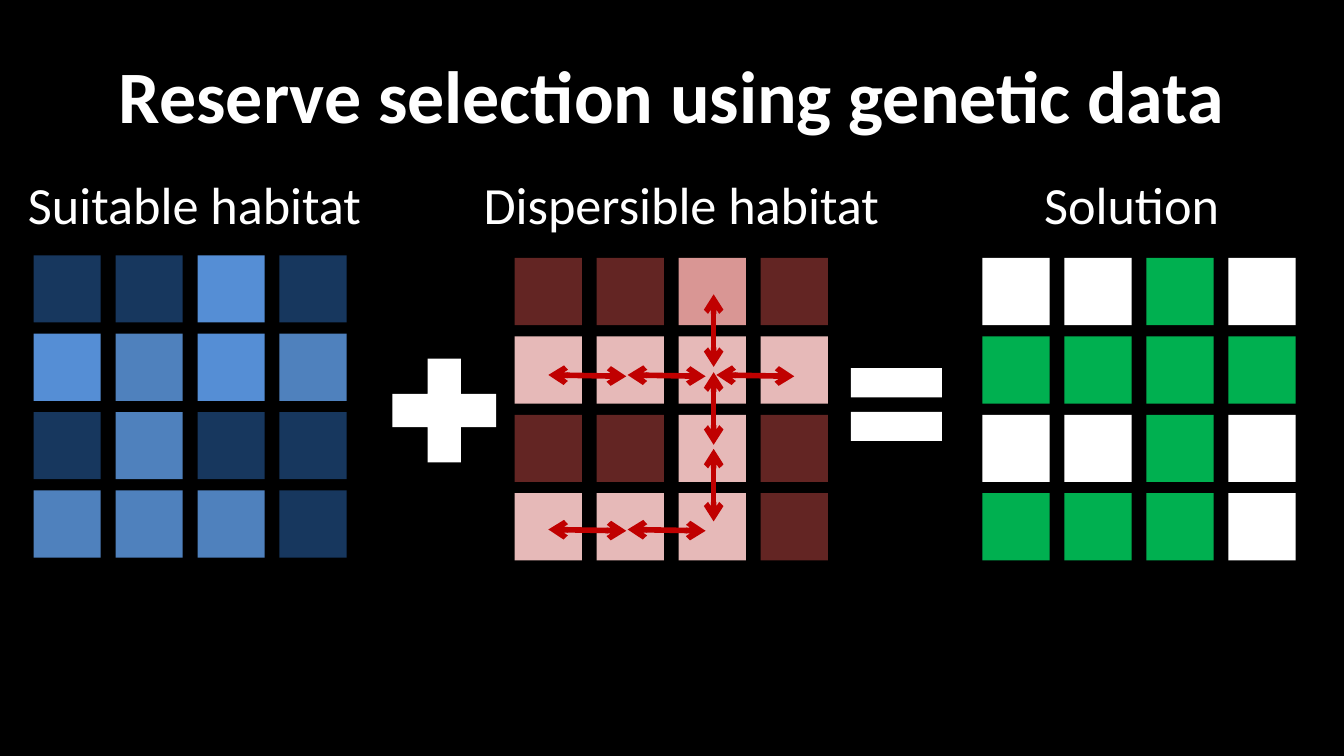
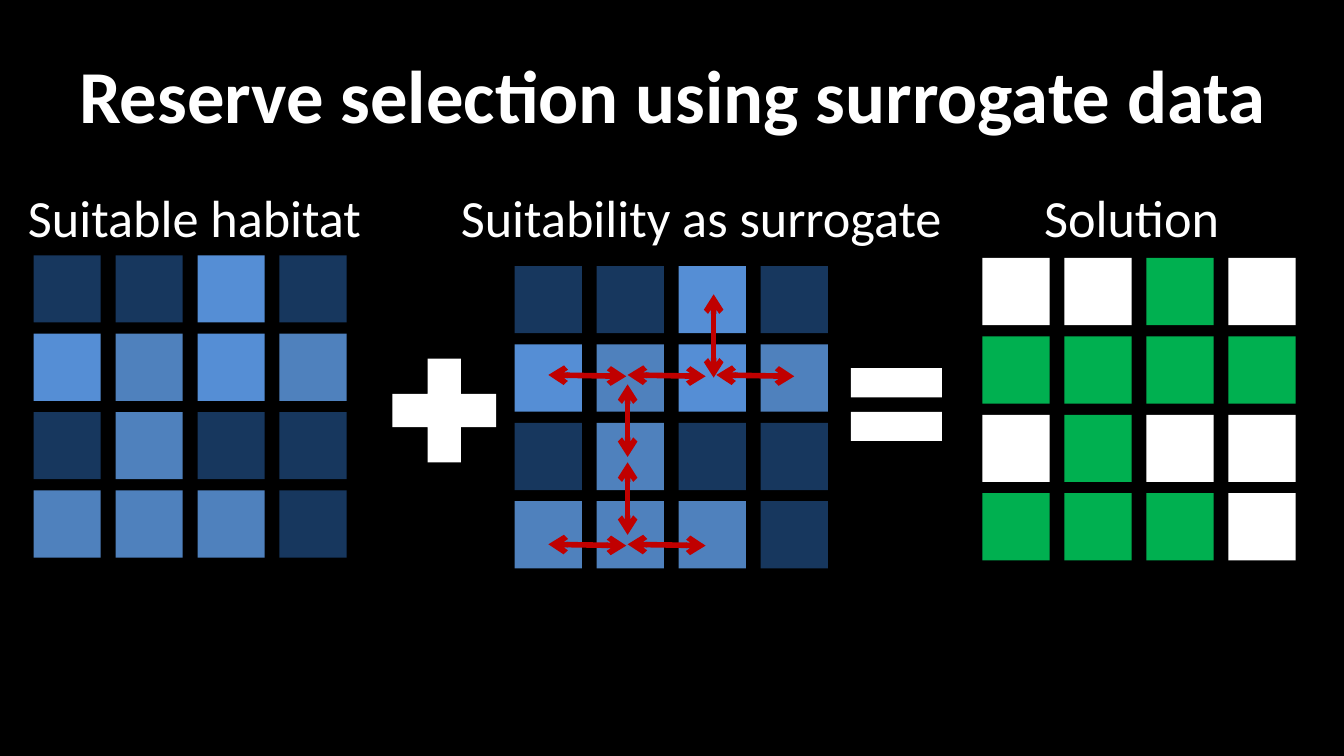
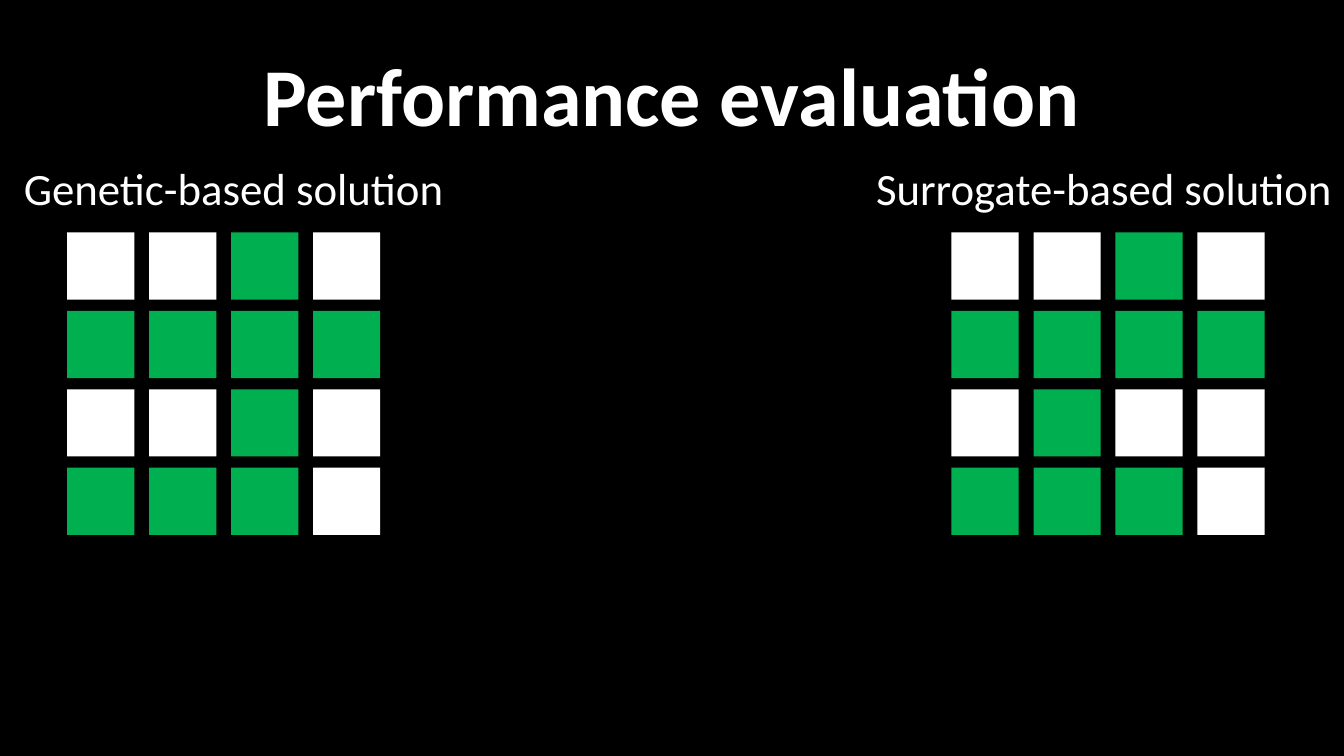
import pptx
import pptx.util
import pptx.dml.color
import pptx.enum.shapes
import pptx.enum.text
import pptx.oxml
import pptx.oxml.ns

INK = {
    "back": "000000", "text": "FFFFFF", "arrow": "C00000",
    "n": "17375E", "b": "4F81BD", "s": "558ED5",    # habitat: poor, fair, good
    "m": "632523", "p": "E6B9B8", "r": "D99694",    # dispersal: closed, open, source
    "w": "FFFFFF", "g": "00B050",                   # solution: left out, chosen
}

HABITAT = "nnsn sbsb nbnn bbbn".split()
REACH = "mmrm pppp mmpm pppm".split()
GENETIC = "wwgw gggg wwgw gggw".split()
PROXY = "wwgw gggg wgww gggw".split()

SIDE = 0.5
SPAN = (2.33, 2.25)     # width and height of a whole grid
HOP = (0.58, 0.01)      # run and drop of a sideways arrow
RISE = 0.54             # length of an upright arrow
ROW = [(4.08, 2.79), (4.67, 2.79), (5.33, 2.79)]

# title: text, size, left, width
# heads: text, left, width; head: top, height, size
# grids: cells, left, top, grouped
# across: left end of arrow; up: foot of arrow and length
SLIDES = [
    {
        "title": ("Reserve selection using genetic data", 39.6, 0.5, 9),
        "heads": [("Suitable habitat", 0.11, 2.71),
                  ("Dispersible habitat", 3.5, 3.18),
                  ("Solution", 7.67, 1.52)],
        "head": (1.23, 0.57, 28),
        "grids": [(HABITAT, 0.25, 1.9, False),
                  (REACH, 3.83, 1.92, True),
                  (GENETIC, 7.31, 1.92, False)],
        "signs": True,
        "across": [(4.08, 3.94), (4.67, 3.94)] + ROW,
        "up": [(5.31, 3.88, RISE), (5.31, 3.31, RISE), (5.31, 2.73, RISE)],
    },
    {
        "title": ("Reserve selection using surrogate data", 40, 0.31, 9.39),
        "heads": [("Suitability as surrogate", 3.33, 3.82),
                  ("Solution", 7.67, 1.52),
                  ("Suitable habitat", 0.11, 2.71)],
        "head": (1.33, 0.57, 28),
        "grids": [(HABITAT, 0.25, 1.9, False),
                  (PROXY, 7.31, 1.92, False),
                  (HABITAT, 3.83, 1.98, False)],
        "signs": True,
        "across": [(4.08, 4.05), (4.67, 4.05)] + ROW,
        "up": [(4.67, 3.98, RISE), (4.67, 3.4, RISE), (5.31, 2.81, 0.62)],
    },
    {
        "title": ("Performance evaluation", 44, 0.5, 9),
        "heads": [("Genetic-based solution", 0.08, 3.36),
                  ("Surrogate-based solution", 6.42, 3.63)],
        "head": (1.15, 0.5, 24),
        "grids": [(GENETIC, 0.5, 1.73, True),
                  (PROXY, 7.08, 1.73, True)],
        "signs": False,
        "across": [],
        "up": [],
    },
]

KIND = pptx.enum.shapes.MSO_SHAPE
SIGNS = [(KIND.MATH_PLUS, 2.78, 2.53, 1.05), (KIND.MATH_EQUAL, 6.21, 2.55, 0.92)]
FIT = pptx.enum.text.MSO_AUTO_SIZE


def inches(*nums):
    return [pptx.util.Inches(num) for num in nums]


def tint(name):
    return pptx.dml.color.RGBColor.from_string(INK[name])


def write(frame, text, size, bold=False, align=None, wrap=True, fit=FIT.NONE):
    frame.word_wrap = wrap
    frame.auto_size = fit
    para = frame.paragraphs[0]
    para.alignment = align
    run = para.add_run()
    run.text = text
    font = run.font
    font.name, font.size, font.bold = "Calibri", pptx.util.Pt(size), bold
    font.color.rgb = tint("text")


def block(shapes, kind, left, top, side, name):
    shape = shapes.add_shape(kind, *inches(left, top, side, side))
    shape.shadow.inherit = False
    shape.fill.solid()
    shape.fill.fore_color.rgb = tint(name)
    shape.line.fill.background()


def grid(shapes, cells, left, top, grouped):
    if grouped:
        shapes = shapes.add_group_shape().shapes
    across, down = [(span - SIDE) / (len(cells) - 1) for span in SPAN]
    for row, line in enumerate(cells):
        for col, name in enumerate(line):
            block(shapes, KIND.RECTANGLE, left + col * across,
                  top + row * down, SIDE, name)


def arrow(shapes, *ends):
    """Draw a line with a head at both ends: x, y, x, y."""
    link = shapes.add_connector(
        pptx.enum.shapes.MSO_CONNECTOR.STRAIGHT, *inches(*ends))
    link.line.color.rgb = tint("arrow")
    link.line.width = pptx.util.Pt(3)
    props = link._element.spPr
    for tag in ("a:headEnd", "a:tailEnd"):
        tip = pptx.oxml.parse_xml(
            f'<{tag} {pptx.oxml.ns.nsdecls("a")} type="arrow"/>')
        props.find(pptx.oxml.ns.qn("a:ln")).append(tip)
    props.append(pptx.oxml.parse_xml(
        f'<a:effectLst {pptx.oxml.ns.nsdecls("a")}/>'))


def head(slide, text, size, left, width):
    title = slide.shapes.title
    title.left, title.top, title.width, title.height = inches(
        left, 0.23, width, 0.94)
    title.text_frame.vertical_anchor = pptx.enum.text.MSO_ANCHOR.MIDDLE
    write(title.text_frame, text, size, bold=True,
          align=pptx.enum.text.PP_ALIGN.CENTER)


def build(deck, page):
    slide = deck.slides.add_slide(deck.slide_layouts[5])
    shapes = slide.shapes
    head(slide, *page["title"])
    for part in page["grids"]:
        grid(shapes, *part)
    if page["signs"]:
        for sign in SIGNS:
            block(shapes, *sign, "text")
    run, drop = HOP
    for x, y in page["across"]:
        arrow(shapes, x, y, x + run, y + drop)
    for x, y, rise in page["up"]:
        arrow(shapes, x, y, x, y - rise)
    top, height, size = page["head"]
    for text, left, width in page["heads"]:
        box = shapes.add_textbox(*inches(left, top, width, height))
        write(box.text_frame, text, size, wrap=False,
              fit=FIT.SHAPE_TO_FIT_TEXT)


def main():
    deck = pptx.Presentation()
    deck.slide_width, deck.slide_height = inches(10, 10 * 9 / 16)
    back = deck.slide_master.background.fill
    back.solid()
    back.fore_color.rgb = tint("back")
    for page in SLIDES:
        build(deck, page)
    deck.save("out.pptx")


if __name__ == "__main__":
    main()
